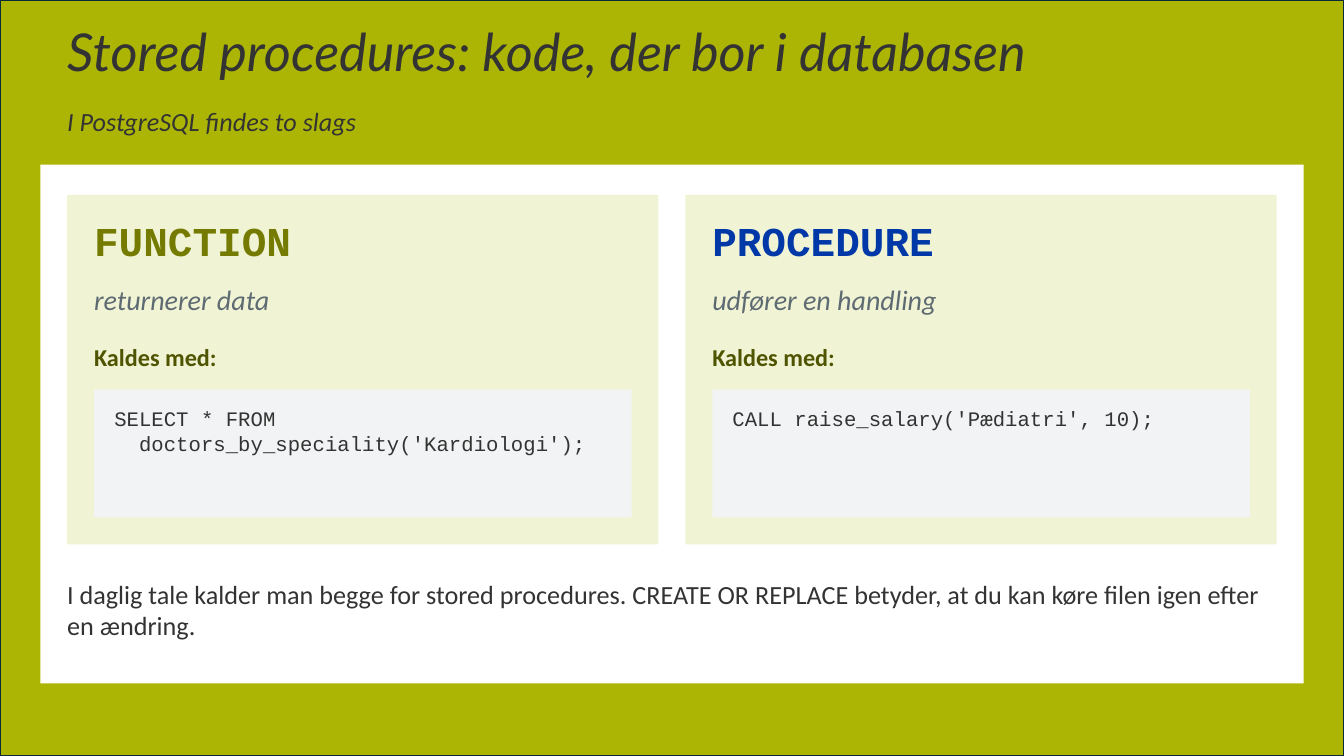
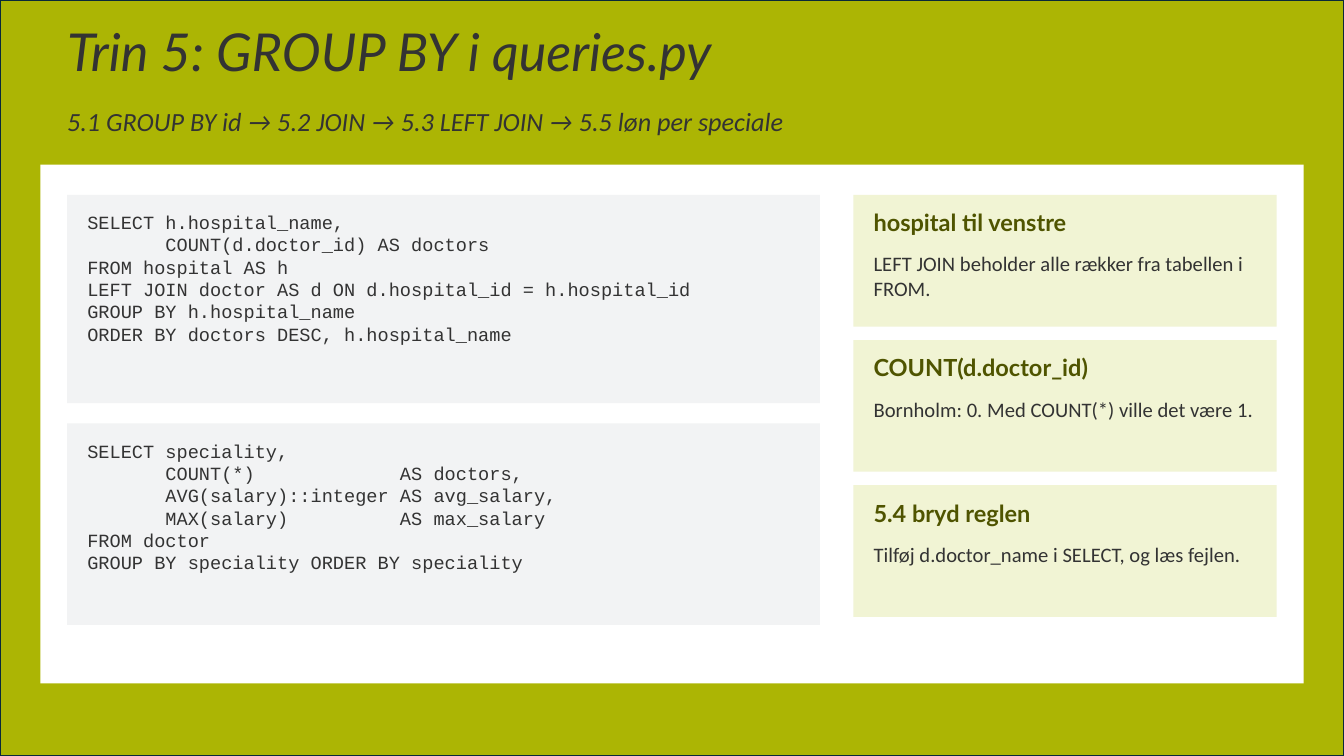
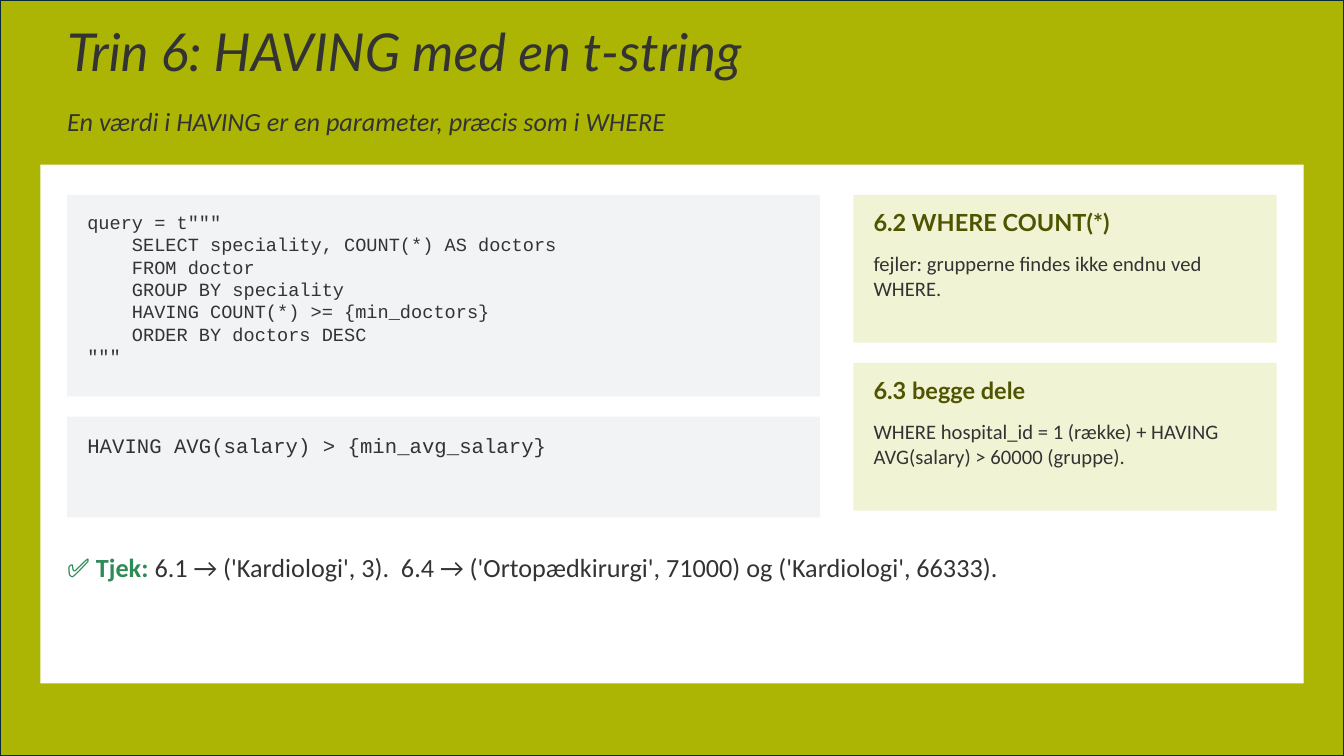
from pptx import Presentation
from pptx.dml.color import RGBColor
from pptx.enum.shapes import MSO_SHAPE
from pptx.enum.text import MSO_ANCHOR, MSO_AUTO_SIZE, PP_ALIGN
from pptx.util import Emu, Pt

PX = 6096  # EMU; the page is 2000 by 1125 px
LIME, NAVY, WHITE, PALE, GREY = "ACB504", "092A39", "FFFFFF", "F1F4D4", "F2F3F4"
INK, MUTED, OLIVE, DARK_OLIVE, BLUE, GREEN = (
    "333333", "5F6B73", "747B00", "4F5400", "0038A8", "2E8B57")
HEAD, BODY, CODE = "Lato", "Calibri", "Courier New"
LEFT, TOP, WIDTH = 100, 290, 1800

KINDS = {
    "title": "Stored procedures: kode, der bor i databasen",
    "subtitle": "I PostgreSQL findes to slags",
    "cards": [
        ("FUNCTION", OLIVE, "returnerer data",
         "SELECT * FROM\n  doctors_by_speciality('Kardiologi');"),
        ("PROCEDURE", BLUE, "udfører en handling",
         "CALL raise_salary('Pædiatri', 10);"),
    ],
    "call_label": "Kaldes med:",
    "remark": "I daglig tale kalder man begge for stored procedures. "
              "CREATE OR REPLACE betyder, at du kan køre filen igen efter en ændring.",
}

GROUPING = {
    "title": "Trin 5: GROUP BY i queries.py",
    "subtitle": "5.1 GROUP BY id → 5.2 JOIN → 5.3 LEFT JOIN → 5.5 løn per speciale",
    "codes": [  # height, text size, code
        (310, 13.3, """SELECT h.hospital_name,
       COUNT(d.doctor_id) AS doctors
FROM hospital AS h
LEFT JOIN doctor AS d ON d.hospital_id = h.hospital_id
GROUP BY h.hospital_name
ORDER BY doctors DESC, h.hospital_name"""),
        (300, 13.3, """SELECT speciality,
       COUNT(*)             AS doctors,
       AVG(salary)::integer AS avg_salary,
       MAX(salary)          AS max_salary
FROM doctor
GROUP BY speciality ORDER BY speciality"""),
    ],
    "note_height": 196,
    "note_gap": 20,
    "notes": [
        ("hospital til venstre", "LEFT JOIN beholder alle rækker fra tabellen i FROM."),
        ("COUNT(d.doctor_id)", "Bornholm: 0. Med COUNT(*) ville det være 1."),
        ("5.4 bryd reglen", "Tilføj d.doctor_name i SELECT, og læs fejlen."),
    ],
}

HAVING = {
    "title": "Trin 6: HAVING med en t-string",
    "subtitle": "En værdi i HAVING er en parameter, præcis som i WHERE",
    "codes": [
        (300, 13.3, '''query = t"""
    SELECT speciality, COUNT(*) AS doctors
    FROM doctor
    GROUP BY speciality
    HAVING COUNT(*) >= {min_doctors}
    ORDER BY doctors DESC
"""'''),
        (150, 14.7, "HAVING AVG(salary) > {min_avg_salary}"),
    ],
    "note_height": 220,
    "note_gap": 30,
    "notes": [
        ("6.2 WHERE COUNT(*)", "fejler: grupperne findes ikke endnu ved WHERE."),
        ("6.3 begge dele",
         "WHERE hospital_id = 1 (række) + HAVING AVG(salary) > 60000 (gruppe)."),
    ],
    "check": ("✅ Tjek: ", "6.1 → ('Kardiologi', 3).  6.4 → ('Ortopædkirurgi', 71000) "
                          "og ('Kardiologi', 66333)."),
}


def color(value):
    return RGBColor.from_string(value)


def emu(*lengths):
    return [Emu(length * PX) for length in lengths]


def add_span(para, text, size=18.7, font=BODY, ink=INK, bold=False, italic=False):
    span = para.add_run()
    span.text = text
    span.font.size, span.font.name = Pt(size), font
    span.font.bold, span.font.italic = bold, italic
    span.font.color.rgb = color(ink)


def clear_frame(frame):
    """Make the frame a wrapping one without margins, set from the top."""
    frame.margin_left = frame.margin_top = frame.margin_right = frame.margin_bottom = 0
    frame.word_wrap = True
    frame.auto_size = MSO_AUTO_SIZE.NONE
    frame.vertical_anchor = MSO_ANCHOR.TOP


def add_text(page, at, text, **style):
    """Add a text box, one paragraph a line, and return its last paragraph."""
    frame = page.shapes.add_textbox(*emu(*at)).text_frame
    clear_frame(frame)
    for number, line in enumerate(text.split("\n")):
        para = frame.add_paragraph() if number else frame.paragraphs[0]
        add_span(para, line, **style)
    return para


def add_rect(page, at, fill, line=None):
    rect = page.shapes.add_shape(MSO_SHAPE.RECTANGLE, *emu(*at))
    rect.shadow.inherit = False
    rect.fill.solid()
    rect.fill.fore_color.rgb = color(fill)
    if line:
        rect.line.color.rgb = color(line)
        rect.line.width = Pt(1.5)
    else:
        rect.line.fill.background()
    return rect


def add_code(page, left, top, width, height, text, size):
    add_rect(page, (left, top, width, height), GREY)
    add_text(page, (left + 30, top + 24, width - 60, height - 40), text,
             size=size, font=CODE)


def add_note(page, left, top, width, height, heading, text):
    add_rect(page, (left, top, width, height), PALE)
    add_text(page, (left + 30, top + 20, width - 60, 60), heading,
             size=16.8, font=HEAD, ink=DARK_OLIVE, bold=True)
    add_text(page, (left + 30, top + 84, width - 60, height - 96), text, size=14.7)


def add_page(deck, content):
    page = deck.slides.add_slide(deck.slide_layouts[5])
    title = page.shapes.title
    title.left, title.top, title.width, title.height = emu(LEFT, 40, WIDTH, 110)
    clear_frame(title.text_frame)
    para = title.text_frame.paragraphs[0]
    para.alignment, para.line_spacing = PP_ALIGN.LEFT, 0.9
    add_span(para, content["title"], size=37.3, font=HEAD, italic=True)
    add_rect(page, (60, 245, 1880, 772), WHITE)
    add_text(page, (LEFT, 156, WIDTH, 70), content["subtitle"], italic=True)
    return page


def add_cards_page(deck, content):
    page = add_page(deck, content)
    width, gap = 880, 40
    for number, (name, ink, purpose, call) in enumerate(content["cards"]):
        left = LEFT + number * (width + gap)
        add_rect(page, (left, TOP, width, 520), PALE)
        inner, inner_width = left + 40, width - 80
        add_text(page, (inner, 320, inner_width, 90), name,
                 size=29.3, font=CODE, ink=ink, bold=True)
        add_text(page, (inner, 420, inner_width, 70), purpose,
                 size=20, ink=MUTED, italic=True)
        add_text(page, (inner, 510, inner_width, 60), content["call_label"],
                 size=17.3, ink=DARK_OLIVE, bold=True)
        add_code(page, inner, 580, inner_width, 190, call, 14.7)
    add_text(page, (LEFT, 860, WIDTH, 140), content["remark"])


def add_code_page(deck, content):
    page = add_page(deck, content)
    top = TOP
    for height, size, code in content["codes"]:
        add_code(page, LEFT, top, 1120, height, code, size)
        top += height + 30
    height = content["note_height"]
    for number, (heading, text) in enumerate(content["notes"]):
        top = TOP + number * (height + content["note_gap"])
        add_note(page, 1270, top, 630, height, heading, text)
    if "check" in content:
        label, result = content["check"]
        para = add_text(page, (LEFT, 820, WIDTH, 160), label, ink=GREEN, bold=True)
        add_span(para, result)


def main():
    deck = Presentation()
    deck.slide_width, deck.slide_height = emu(2000, 1125)
    add_cards_page(deck, KINDS)
    add_code_page(deck, GROUPING)
    add_code_page(deck, HAVING)
    # Shapes can only be drawn on a slide, so the backdrop is moved to the master.
    backdrop = add_rect(deck.slides[0], (0, 0, 2000, 1125), LIME, line=NAVY)
    deck.slide_master.shapes.element.insert(2, backdrop.element)
    deck.save("out.pptx")


if __name__ == "__main__":
    main()
